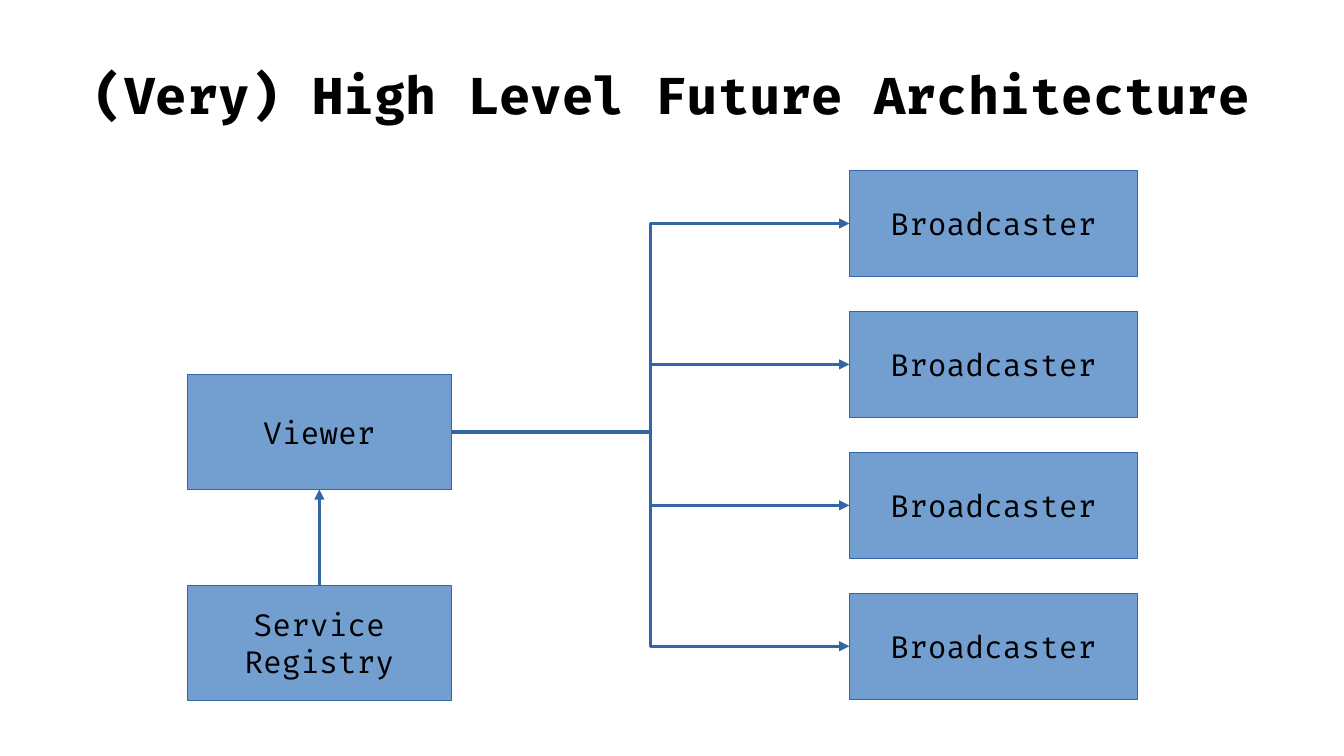
from lxml import etree
from pptx import Presentation
from pptx.dml.color import RGBColor
from pptx.enum.shapes import MSO_CONNECTOR, MSO_SHAPE
from pptx.enum.text import MSO_ANCHOR, MSO_AUTO_SIZE, PP_ALIGN
from pptx.oxml.ns import qn
from pptx.util import Pt

RECTANGLE = MSO_SHAPE.RECTANGLE
STRAIGHT, ELBOW = MSO_CONNECTOR.STRAIGHT, MSO_CONNECTOR.ELBOW
MIDDLE, CENTER = MSO_ANCHOR.MIDDLE, PP_ALIGN.CENTER
NO_AUTOFIT = MSO_AUTO_SIZE.NONE
TOP, LEFT, BOTTOM, RIGHT = range(4)

BLACK = RGBColor(0x00, 0x00, 0x00)
BOX_BLUE = RGBColor(0x72, 0x9F, 0xCF)
LINE_BLUE = RGBColor(0x34, 0x65, 0xA4)

SERVICE_LEFT, SERVICE_WIDTH, SERVICE_HEIGHT = 110.6, 155.9, 67.9
BROADCASTER_LEFT, BROADCASTER_WIDTH, BROADCASTER_HEIGHT = 501.5, 170.1, 62.6
BROADCASTER_TOP, BROADCASTER_PITCH, BROADCASTER_COUNT = 100.7, 83.2, 4


class Diagram:
    font = "Fira Code"

    def __init__(self, slide):
        self.slide = slide

    def format_text(self, frame, size, bold=False):
        frame.auto_size = NO_AUTOFIT
        frame.vertical_anchor = MIDDLE
        for paragraph in frame.paragraphs:
            paragraph.alignment = CENTER
            for run in paragraph.runs:
                run.font.name = self.font
                run.font.size = Pt(size)
                run.font.bold = bold
                run.font.color.rgb = BLACK

    def title(self, text, left, top, width, height):
        heading = self.slide.shapes.title
        heading.left, heading.top = Pt(left), Pt(top)
        heading.width, heading.height = Pt(width), Pt(height)
        frame = heading.text_frame
        frame.text = text
        frame.margin_left = frame.margin_right = 0
        frame.margin_top = frame.margin_bottom = 0
        self.format_text(frame, 30, bold=True)

    def box(self, text, left, top, width, height):
        node = self.slide.shapes.add_shape(
            RECTANGLE, Pt(left), Pt(top), Pt(width), Pt(height))
        node.shadow.inherit = False
        node.fill.solid()
        node.fill.fore_color.rgb = BOX_BLUE
        node.line.color.rgb = LINE_BLUE
        node.line.width = Pt(0)
        node.text_frame.text = text
        node.text_frame.word_wrap = False
        self.format_text(node.text_frame, 18)
        return node

    def arrow(self, kind, source, source_side, target, target_side):
        """Join two boxes, with the arrowhead at the target."""
        link = self.slide.shapes.add_connector(kind, 0, 0, 0, 0)
        link.begin_connect(source, source_side)
        link.end_connect(target, target_side)
        link.line.color.rgb = LINE_BLUE
        link.line.width = Pt(0)
        properties = link._element.spPr
        etree.SubElement(properties.find(qn("a:ln")), qn("a:tailEnd"), type="triangle")
        etree.SubElement(properties, qn("a:effectLst"))


def main():
    presentation = Presentation()
    presentation.slide_width, presentation.slide_height = Pt(793.5), Pt(446.4)
    title_only = presentation.slide_layouts[5]
    diagram = Diagram(presentation.slides.add_slide(title_only))

    diagram.title("(Very) High Level Future Architecture", 39.6, 18, 714.2, 74.9)
    registry = diagram.box("Service\nRegistry", SERVICE_LEFT, 345.6,
                           SERVICE_WIDTH, SERVICE_HEIGHT)
    viewer = diagram.box("Viewer", SERVICE_LEFT, 221.1,
                         SERVICE_WIDTH, SERVICE_HEIGHT)
    diagram.arrow(STRAIGHT, registry, TOP, viewer, BOTTOM)

    for row in range(BROADCASTER_COUNT):
        broadcaster = diagram.box(
            "Broadcaster", BROADCASTER_LEFT, BROADCASTER_TOP + row * BROADCASTER_PITCH,
            BROADCASTER_WIDTH, BROADCASTER_HEIGHT)
        diagram.arrow(ELBOW, viewer, RIGHT, broadcaster, LEFT)

    presentation.save("out.pptx")


if __name__ == "__main__":
    main()
